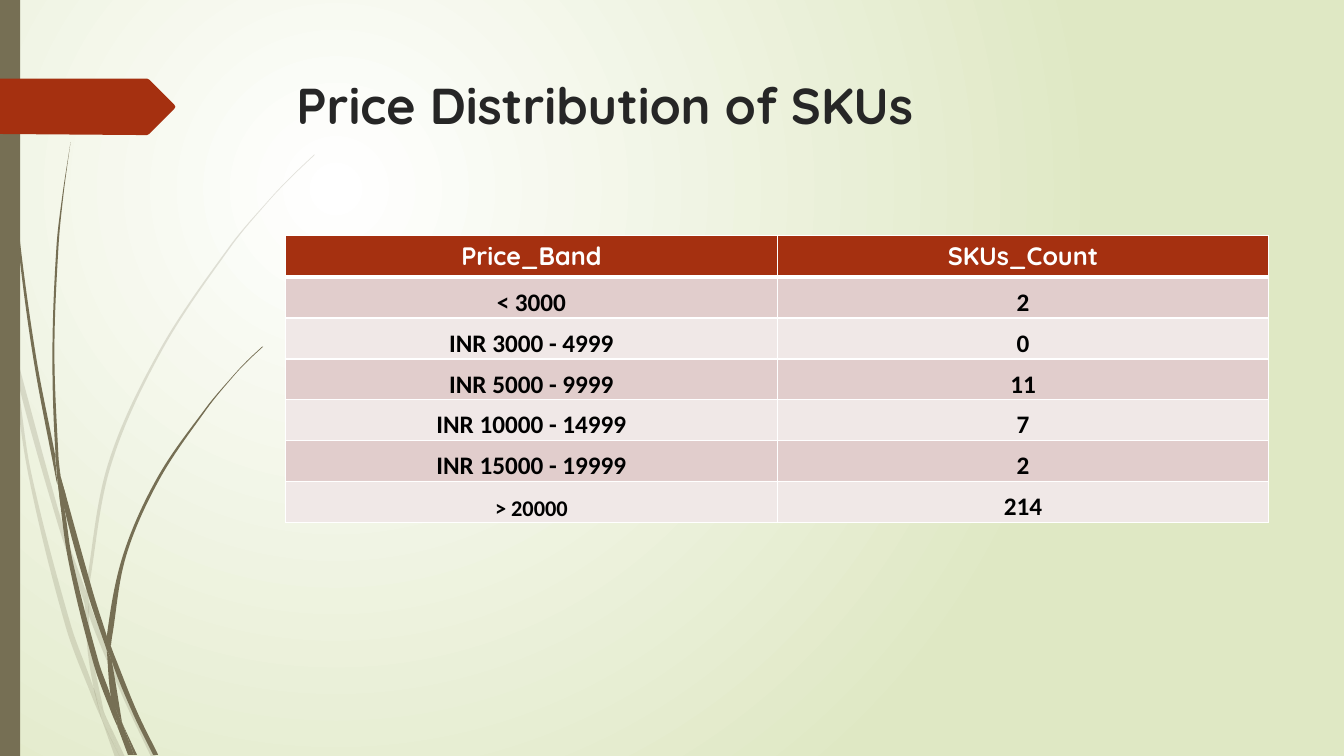
"""Builds the price distribution slide on a grid of 1333 by 750 cells."""
from math import dist
from typing import NamedTuple

from pptx import Presentation
from pptx.dml.color import RGBColor
from pptx.enum.shapes import MSO_SHAPE
from pptx.enum.text import MSO_ANCHOR, PP_ALIGN
from pptx.oxml import parse_xml
from pptx.oxml.ns import nsdecls, qn
from pptx.util import Emu, Pt

CELL = 9144
OLIVE = RGBColor(0x76, 0x6F, 0x54)
RUST = RGBColor(0xA5, 0x30, 0x10)
INK = RGBColor(0x26, 0x26, 0x26)
BLACK = RGBColor(0, 0, 0)
WHITE = RGBColor(0xFF, 0xFF, 0xFF)
SAGE = RGBColor(0xDF, 0xE8, 0xC4)
ROSE = RGBColor(0xE1, 0xCD, 0xCC)
BLUSH = RGBColor(0xF0, 0xE8, 0xE7)

Point = tuple[float, float]
Edge = tuple[Point, ...]


class Blade(NamedTuple):
    """One piece of grass between two smooth edges."""
    out: Edge
    back: Edge


class Tuft(NamedTuple):
    """A group of blades with one opacity in percent."""
    opacity: int
    blades: tuple[Blade, ...]


class Band(NamedTuple):
    """One row of the price table."""
    label: str
    count: str
    label_size: int = 18


PALE = Tuft(20, (
    Blade(((11, 350), (9, 322), (0, 282)), ((0, 299), (10, 344))),
    Blade(((14, 345), (17, 376), (58, 522), (84, 599)), ((85, 586), (62, 520), (14, 345))),
    Blade(((88, 596), (88, 610), (123, 694), (150, 751)), ((155, 751), (127, 692), (92, 607))),
    Blade(((119, 751), (124, 751)), ((105, 711),)),
    Blade(((101, 714), (93, 683), (70, 619), (31, 469), (17, 376), (11, 350)),
          ((11, 350), (28, 470), (65, 621), (92, 693), (101, 714))),
    Blade(((84, 599), (87, 646), (93, 683), (96, 692), (105, 711)),
          ((103, 706), (91, 646), (88, 610), (88, 608))),
    Blade(((88, 584), (110, 462), (160, 349), (229, 245), (268, 198), (290, 175), (312, 154)),
          ((312, 153), (289, 175), (268, 197), (228, 244), (158, 348), (107, 461), (85, 584),
           (85, 586), (88, 596))),
    Blade(((101, 714), (114, 751)), ((119, 751),)),
    Blade(((88, 608), (88, 610), (88, 596)), ((85, 586), (84, 599))),
    Blade(((96, 692), (93, 683), (99, 707), (101, 714), (119, 751)), ((119, 751), (105, 711))),
))

DARK = Tuft(100, (
    Blade(((4, 0), (3, 0), (4, 48), (7, 110), (17, 233), (33, 355), (56, 477), (57, 481)),
          ((55, 457), (55, 453), (36, 355), (19, 232), (8, 109), (5, 48), (4, 0))),
    Blade(((60, 472), (64, 505), (88, 592), (106, 645)), ((106, 633), (106, 631), (93, 590), (60, 472))),
    Blade(((110, 641), (111, 656), (132, 708), (152, 749)), ((157, 749), (136, 706), (113, 649))),
    Blade(((117, 722), (116, 717), (110, 691), (98, 657), (72, 556), (64, 505), (57, 477)),
          ((57, 477), (68, 557), (93, 659), (111, 708), (117, 722))),
    Blade(((60, 472), (58, 453), (54, 349), (58, 245), (63, 193), (70, 141)),
          ((70, 141), (62, 193), (56, 245), (52, 349), (55, 449), (60, 472))),
    Blade(((133, 749), (136, 749)), ((122, 719),)),
    Blade(((57, 477), (64, 505), (60, 472)), ((60, 472), (55, 449), (55, 453))),
    Blade(((111, 633), (125, 552), (158, 476), (205, 406), (231, 374), (245, 359), (261, 344)),
          ((260, 344), (245, 358), (231, 373), (204, 405), (156, 474), (122, 551), (106, 631),
           (110, 641))),
    Blade(((117, 722), (127, 749)), ((131, 749),)),
    Blade(((106, 645), (110, 691), (116, 706), (122, 719)), ((121, 716), (111, 656), (109, 651))),
    Blade(((106, 645), (109, 651), (111, 656), (110, 641)), ((106, 631), (106, 633))),
    Blade(((116, 706), (110, 691), (116, 717), (117, 722), (130, 749)), ((133, 749), (122, 719))),
))

PENNANT: Edge = ((173, 108), (148, 133), (146, 134), (136, 134), (0, 133), (0, 78),
                 (146, 78), (148, 79), (173, 104), (174, 106))

BANDS = (
    Band("Price_Band", "SKUs_Count"),
    Band("< 3000", "2"),
    Band("INR 3000 - 4999", "0"),
    Band("INR 5000 - 9999", "11"),
    Band("INR 10000 - 14999", "7"),
    Band("INR 15000 - 19999", "2"),
    Band("> 20000", "214", 16),
)


def cells(*counts: float) -> list[Emu]:
    """Turn grid cells into lengths."""
    return [Emu(round(n * CELL)) for n in counts]


def handle(before: Point, at: Point, after: Point, reach: float) -> Point:
    """Find the Bezier handle that leaves a point along its tangent."""
    scale = reach / 3 / (dist(before, after) or 1)
    return tuple(q + (r - p) * scale for p, q, r in zip(before, at, after))


def bend(path, edges: tuple[Edge, ...]) -> None:
    """Turn the straight steps inside each edge into curves."""
    steps = list(path)
    left, top = (min(pt[i] for edge in edges for pt in edge) for i in (0, 1))
    first = 0
    for edge in edges:
        pts = [edge[0], *edge, edge[-1]]
        for i, (a, b, c, d) in enumerate(zip(pts, pts[1:], pts[2:], pts[3:]), first + 1):
            reach = dist(b, c)
            knots = [cells(x - left, y - top)
                     for x, y in (handle(a, b, c, reach), handle(d, c, b, reach), c)]
            path.replace(steps[i], parse_xml(
                f'<a:cubicBezTo {nsdecls("a")}>'
                + "".join(f'<a:pt x="{x}" y="{y}"/>' for x, y in knots) + "</a:cubicBezTo>"))
        first += len(edge)


def paint(sp, color: RGBColor, opacity: int = 100) -> None:
    """Give a shape a flat fill with no line or shadow."""
    sp.shadow.inherit = False
    sp.fill.solid()
    sp.fill.fore_color.rgb = color
    sp.line.fill.background()
    if opacity < 100:
        clr = sp.fill._xPr.find(f".//{qn('a:srgbClr')}")
        clr.append(parse_xml(f'<a:alpha {nsdecls("a")} val="{opacity * 1000}"/>'))


def draw_outline(shapes, edges: tuple[Edge, ...], color: RGBColor, opacity: int = 100) -> None:
    """Draw a closed outline of smooth edges joined by straight lines."""
    start, *rest = [cells(*pt) for edge in edges for pt in edge]
    fb = shapes.build_freeform(*start)
    fb.add_line_segments(rest, close=True)
    sp = fb.convert_to_shape()
    bend(sp.element.find(f".//{qn('a:path')}"), edges)
    paint(sp, color, opacity)


def draw_background(s) -> None:
    """Fill the background with a radial glow."""
    fill = s.background.fill
    fill.gradient()
    for stop, color in zip(fill.gradient_stops, (WHITE, SAGE)):
        stop.color.rgb = color
    grad = s.element.find(f".//{qn('a:gradFill')}")
    grad.replace(grad.find(qn("a:lin")), parse_xml(
        f'<a:path {nsdecls("a")} path="circle"><a:fillToRect l="50000" t="50000" '
        'r="100000" b="100000"/></a:path>'))


def style_text(p, font: str, size: int, color: RGBColor, align: PP_ALIGN) -> None:
    """Format the bold runs of a paragraph."""
    p.alignment = align
    for r in p.runs:
        r.font.name, r.font.size, r.font.bold = font, Pt(size), True
        r.font.color.rgb = color


def set_borders(cell, top: int, bottom: int) -> None:
    """Draw white borders, with top and bottom widths in points."""
    tc_pr = cell._tc.get_or_add_tcPr()
    for i, (side, width) in enumerate(zip("LRTB", (1, 1, top, bottom))):
        tc_pr.insert(i, parse_xml(
            f'<a:ln{side} {nsdecls("a")} w="{Pt(width)}"><a:solidFill>'
            f'<a:srgbClr val="{WHITE}"/></a:solidFill></a:ln{side}>'))


def draw_table(s, bands: tuple[Band, ...]) -> None:
    """Draw the price bands under a rust header."""
    tbl = s.shapes.add_table(len(bands), 2, *cells(283.4, 233.6, 975.4, 284)).table
    for row, band in enumerate(bands):
        head = row == 0
        fill = RUST if head else ROSE if row % 2 else BLUSH
        margins = cells(8, 5, 8, 5) if head else cells(1, 1, 1, 0)
        for col, (text, size) in enumerate(((band.label, band.label_size), (band.count, 18))):
            cell = tbl.cell(row, col)
            cell.text_frame.text = text
            style_text(cell.text_frame.paragraphs[0], "Quicksand" if head else "Calibri",
                       size, WHITE if head else BLACK, PP_ALIGN.CENTER)
            cell.margin_left, cell.margin_top, cell.margin_right, cell.margin_bottom = margins
            cell.vertical_anchor = MSO_ANCHOR.TOP if head else MSO_ANCHOR.BOTTOM
            cell.fill.solid()
            cell.fill.fore_color.rgb = fill
            set_borders(cell, 3 if row == 1 else 1, 3 if head else 1)


def main() -> None:
    """Build and save the slide."""
    prs = Presentation()
    prs.slide_width, prs.slide_height = cells(4000 / 3, 750)
    s = prs.slides.add_slide(prs.slide_layouts[5])
    draw_background(s)
    for tuft in (PALE, DARK):
        grp = s.shapes.add_group_shape()
        for blade in tuft.blades:
            draw_outline(grp.shapes, blade, OLIVE, tuft.opacity)
    paint(s.shapes.add_shape(MSO_SHAPE.RECTANGLE, *cells(0, 0, 20, 750)), OLIVE)
    draw_outline(s.shapes, tuple((pt,) for pt in PENNANT), RUST)
    title = s.shapes.title
    title.left, title.top, title.width, title.height = cells(284, 68.5, 975, 140)
    title.text_frame.text = "Price Distribution of SKUs"
    title.text_frame.vertical_anchor = MSO_ANCHOR.TOP
    style_text(title.text_frame.paragraphs[0], "Quicksand", 36, INK, PP_ALIGN.LEFT)
    draw_table(s, BANDS)
    prs.save("out.pptx")


if __name__ == "__main__":
    main()
